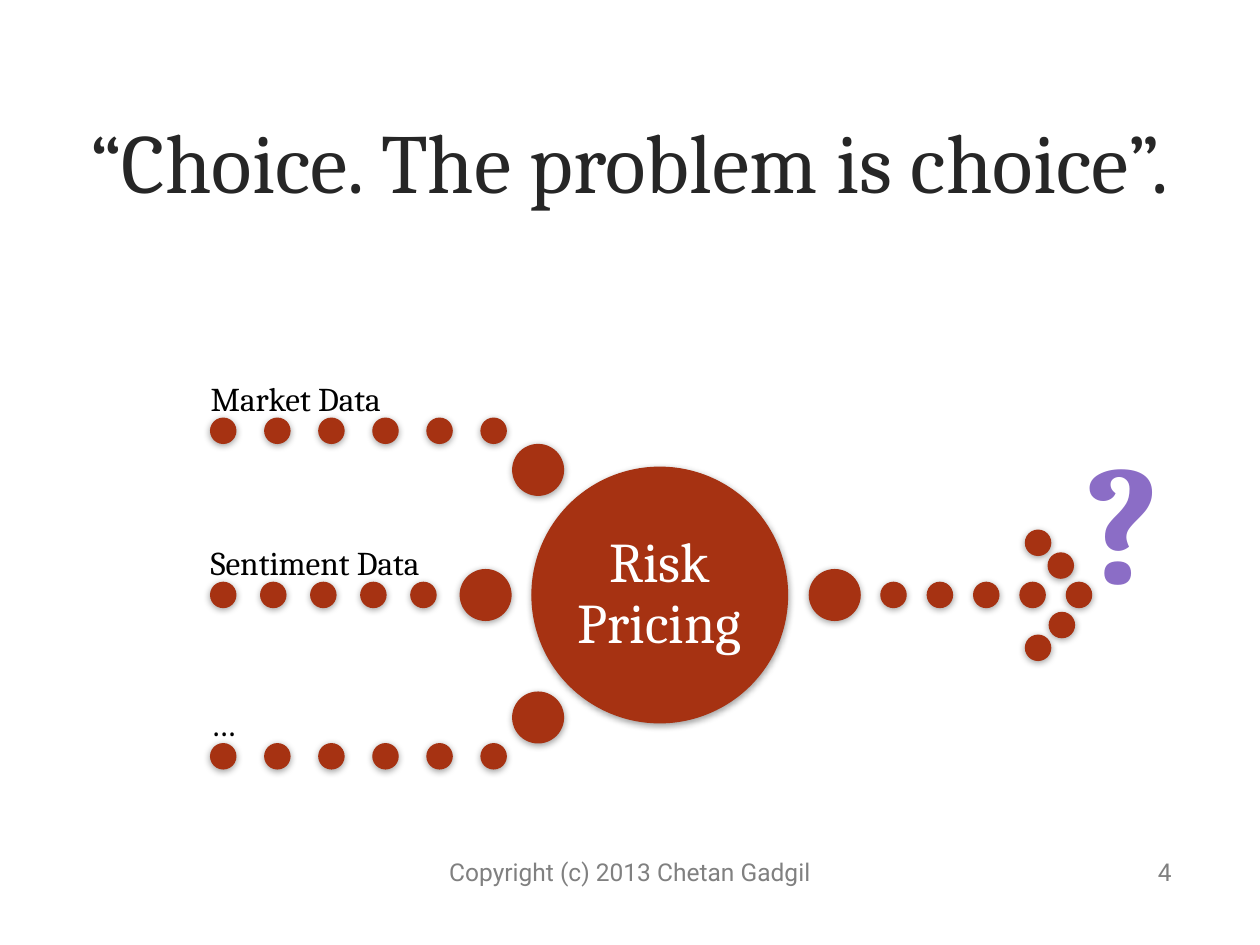
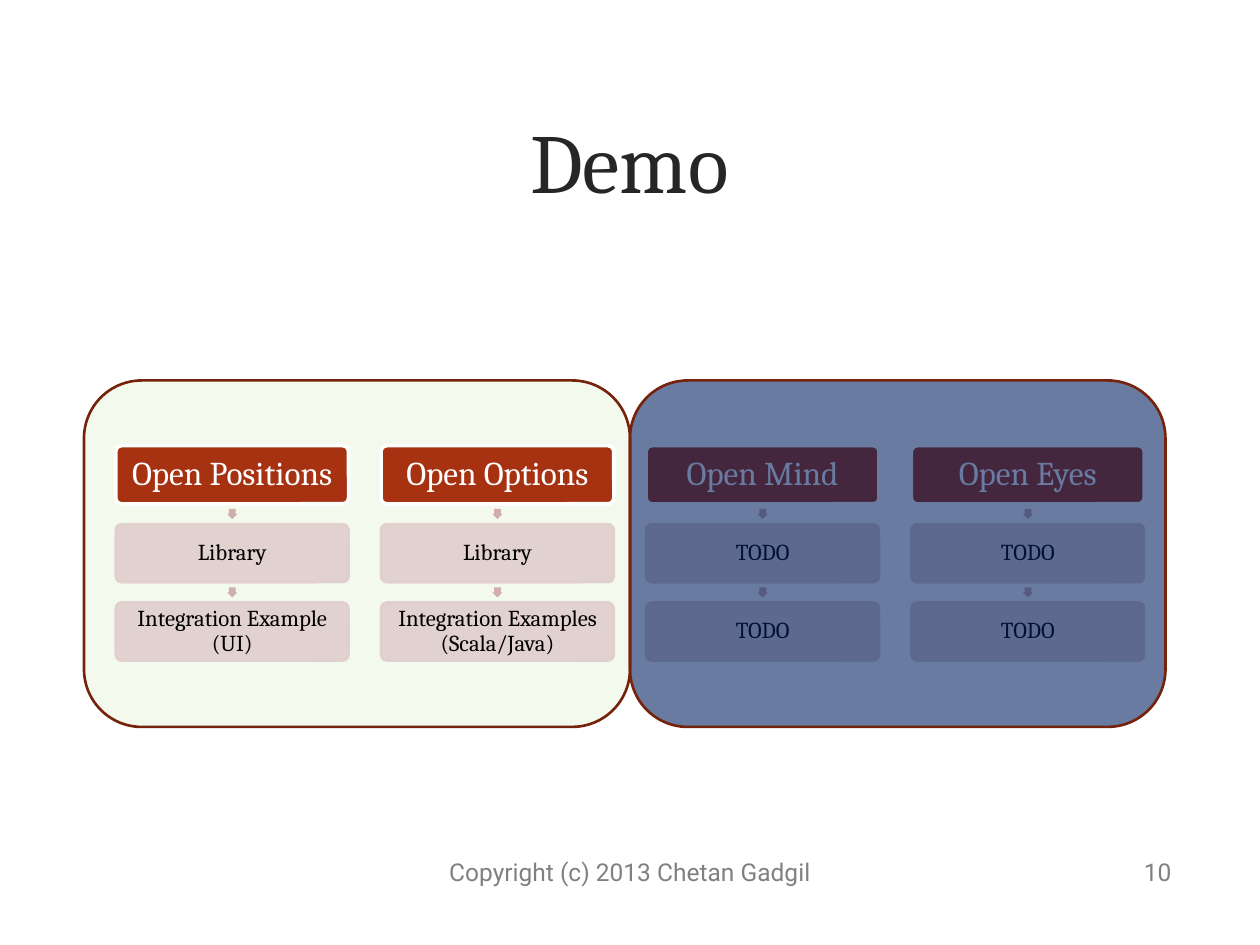
from lxml import etree
from pptx import Presentation
from pptx.dml.color import RGBColor
from pptx.enum import shapes, text
from pptx.oxml.ns import qn
from pptx.util import Pt

COLORS = {
    "title": "262626", "footer": "808080", "body": "000000", "light": "FFFFFF",
    "rust": "A63212", "rust_edge": "75230C", "question": "8B6DC6",
    "card": "E1CECC", "arrow": "D0AEAB", "done": "92D050", "pending": "002060",
}
SERIF, SANS = "Cambria", "Roboto"
KIND = shapes.MSO_SHAPE
ALIGN = text.PP_ALIGN
ANCHOR = text.MSO_ANCHOR
DOT, BULB = 14.4, 29
FLOW_LEFT, FLOW_MIDDLE = 120.4, 340
COLUMN_LEFT, COLUMN_STEP = 66.2, 151.55
CARD_TOP, CARD_STEP, CARD_WIDTH, CARD_HEIGHT = 254.7, 44.8, 133, 33.2
ARROW = 5.8


def color(name):
    return RGBColor.from_string(COLORS[name])


def write(frame, words, size=13, font=SERIF, ink="body", align=ALIGN.CENTER,
          anchor=ANCHOR.MIDDLE, inset=(7.2, 3.6), spacing=None, bold=False, wrap=True):
    frame.word_wrap = wrap
    frame.vertical_anchor = anchor
    frame.margin_left = frame.margin_right = Pt(inset[0])
    frame.margin_top = frame.margin_bottom = Pt(inset[1])
    paragraph = frame.paragraphs[0]
    paragraph.alignment = align
    paragraph.line_spacing = spacing
    run = paragraph.add_run()
    run.text = words
    run.font.size = Pt(size)
    run.font.name = font
    run.font.bold = bold
    run.font.color.rgb = color(ink)


def label(slide, words, left, top, width, height, **style):
    box = slide.shapes.add_textbox(Pt(left), Pt(top), Pt(width), Pt(height))
    write(box.text_frame, words, **style)


def fade(paint, opacity):
    tone = paint.find(qn("a:solidFill")).find(qn("a:srgbClr"))
    etree.SubElement(tone, qn("a:alpha"), val=str(opacity * 1000))


def figure(slide, kind, left, top, width, height, fill, edge=None, edge_width=0.75,
           opacity=100, edge_opacity=100, adjust=()):
    shape = slide.shapes.add_shape(kind, Pt(left), Pt(top), Pt(width), Pt(height))
    shape.shadow.inherit = False
    for index, value in enumerate(adjust):
        shape.adjustments[index] = value
    shape.fill.solid()
    shape.fill.fore_color.rgb = color(fill)
    properties = shape._element.spPr
    if opacity < 100:
        fade(properties, opacity)
    if edge:
        shape.line.color.rgb = color(edge)
        shape.line.width = Pt(edge_width)
        if edge_opacity < 100:
            fade(properties.find(qn("a:ln")), edge_opacity)
    else:
        shape.line.fill.background()
    return shape


def ball(slide, left, top, size=DOT):
    circle = figure(slide, KIND.OVAL, left, top, size, size, "rust", "rust")
    effects = circle._element.spPr.find(qn("a:effectLst"))
    shadow = etree.SubElement(effects, qn("a:outerShdw"), blurRad=str(Pt(4)),
                              dist=str(Pt(1)), dir="5400000", rotWithShape="0")
    tone = etree.SubElement(shadow, qn("a:srgbClr"), val=COLORS["body"])
    etree.SubElement(tone, qn("a:alpha"), val="37000")
    return circle


def dotted_line(slide, left, top, count, step):
    for index in range(count):
        ball(slide, left + index * step, top)


def input_flow(slide, name, top, count, step, bulb_left, bulb_top):
    dotted_line(slide, FLOW_LEFT, top, count, step)
    ball(slide, bulb_left, bulb_top, BULB)
    label(slide, name, FLOW_LEFT, top - 37, 169, 37, size=19, align=ALIGN.LEFT,
          anchor=ANCHOR.BOTTOM, inset=(0, 0), spacing=0.9)


def output_flow(slide):
    ball(slide, 462.5, FLOW_MIDDLE - BULB / 2, BULB)
    dotted_line(slide, 503.4, FLOW_MIDDLE - DOT / 2, 5, 26.5)
    for left, top in ((586, 303), (599, 316), (599.6, 350), (586, 363)):
        ball(slide, left, top)


def card(slide, words, left, top, heading=False):
    fill, edge, width, opacity = (("rust", "light", 2, 100) if heading
                                  else ("card", "card", 1.5, 90))
    box = figure(slide, KIND.ROUNDED_RECTANGLE, left, top, CARD_WIDTH, CARD_HEIGHT,
                 fill, edge, width, opacity, opacity, (0.1,))
    write(box.text_frame, words, size=19 if heading else 13,
          ink="light" if heading else "body", inset=(1.8, 1.8), spacing=0.9)


def demo_column(slide, left, heading, steps):
    card(slide, heading, left, CARD_TOP, heading=True)
    for row, step in enumerate(steps, 1):
        top = CARD_TOP + row * CARD_STEP
        arrow = figure(slide, KIND.RIGHT_ARROW, left + (CARD_WIDTH - ARROW) / 2,
                       top - (CARD_STEP - CARD_HEIGHT + ARROW) / 2, ARROW, ARROW,
                       "arrow", adjust=(0.667, 0.5))
        arrow.rotation = 90
        card(slide, step, left, top)


def panel(slide, left, width, fill, opacity):
    figure(slide, KIND.ROUNDED_RECTANGLE, left, 217.4, width, 198, fill,
           "rust_edge", 1.5, opacity)


def new_slide(deck, title, number):
    slide = deck.slides.add_slide(deck.slide_layouts[6])
    label(slide, title, 43.2, 34.5, 633, 114, size=48, ink="title")
    footer = dict(size=14, font=SANS, ink="footer")
    label(slide, "Copyright (c) 2013 Chetan Gadgil", 246, 484, 228, 28.8, **footer)
    label(slide, number, 508.5, 484, 168, 28.8, align=ALIGN.RIGHT, **footer)
    return slide


def choice_slide(deck):
    slide = new_slide(deck, "“Choice. The problem is choice”.", "4")
    output_flow(slide)
    hub = ball(slide, 304, FLOW_MIDDLE - 73, 146)
    write(hub.text_frame, "Risk Pricing", size=32, ink="light",
          inset=(2.9, 2.9), spacing=0.9)
    input_flow(slide, "Market Data", 239, 6, 30.9, 293, 254)
    input_flow(slide, "Sentiment Data", FLOW_MIDDLE - DOT / 2, 5, 28.6,
               263, FLOW_MIDDLE - BULB / 2)
    input_flow(slide, "…", 425, 6, 30.9, 293, 395.5)
    label(slide, "?", 612, 234, 58.3, 124, size=96, ink="question", bold=True,
          anchor=ANCHOR.TOP, wrap=False)


def demo_slide(deck):
    slide = new_slide(deck, "Demo", "10")
    panel(slide, 48, 312, "done", 10)
    columns = (
        ("Open Positions", ("Library", "Integration Example (UI)")),
        ("Open Options", ("Library", "Integration Examples (Scala/Java)")),
        ("Open Mind", ("TODO", "TODO")),
        ("Open Eyes", ("TODO", "TODO")),
    )
    for index, (heading, steps) in enumerate(columns):
        demo_column(slide, COLUMN_LEFT + index * COLUMN_STEP, heading, steps)
    panel(slide, 360, 306, "pending", 59)


def main():
    deck = Presentation()
    deck.slide_width, deck.slide_height = Pt(720), Pt(540)
    choice_slide(deck)
    demo_slide(deck)
    deck.save("out.pptx")


if __name__ == "__main__":
    main()
